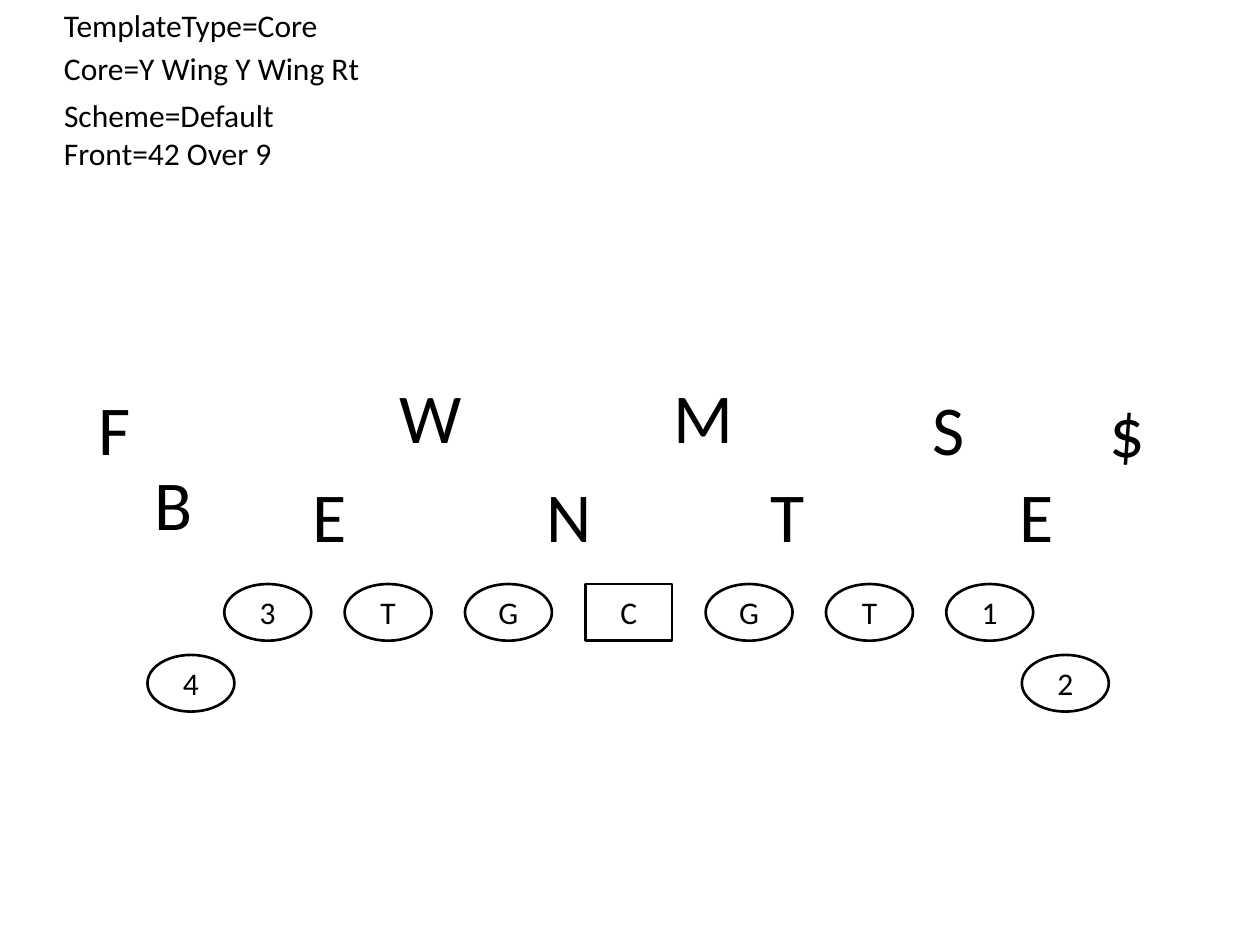
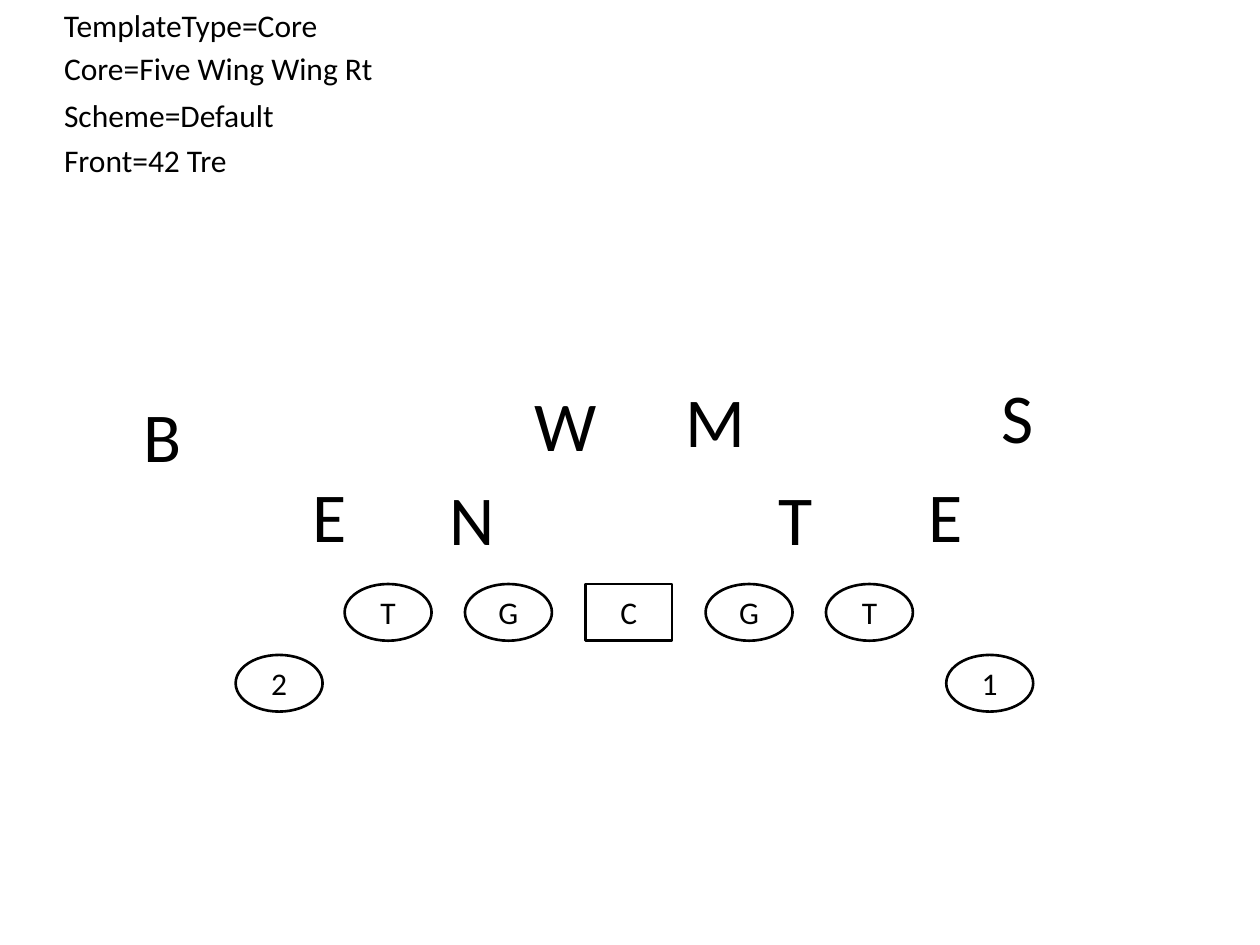
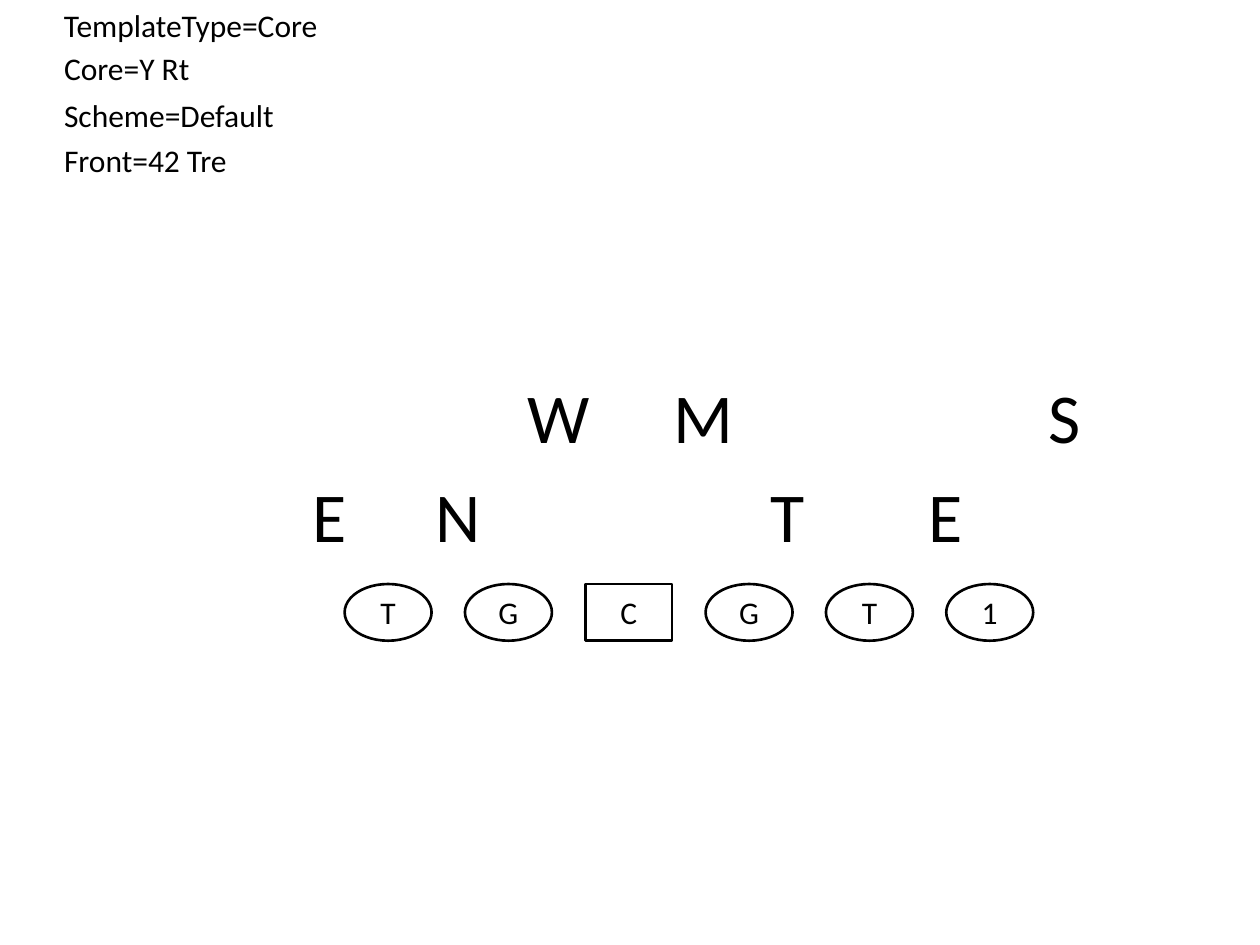
from collections import namedtuple
from pptx import Presentation
from pptx.dml.color import RGBColor
from pptx.enum.shapes import MSO_SHAPE as Preset
from pptx.enum.text import MSO_ANCHOR as Anchor, MSO_AUTO_SIZE as AutoSize, PP_ALIGN as Align
from pptx.util import Inches, Pt

SLIDE_WIDTH, SLIDE_HEIGHT = 10, 7.5
COLUMN, ROW = SLIDE_WIDTH / 100, SLIDE_HEIGHT / 100
INK, PAPER = "000000", "FFFFFF"
FONT = "Calibri"
LABEL_SIZE, LETTER_SIZE = 18, 40

Box = namedtuple("Box", "left top width height")
HEADER = Box(4.1, 0, 30, 20)
FIELD = Box(0, 38.9, 100, 37)

LABEL_HEIGHT, LETTER_HEIGHT = 5.3, 10.3
LETTER_WIDTHS = {"N": 5.6, "W": 7, "M": 7, "B": 5.1, "$": 3.9, "F": 3.5}
USUAL_LETTER_WIDTH = 4.8
WRAPPED_LETTERS = "F$"

PLAYER_WIDTH, PLAYER_HEIGHT = 6.9, 6
LINE_LEFT, LINE_SPAN = 17.8, 57.3
LINE_STEP = LINE_SPAN / 6
LINE_ROW, WING_ROW = 22.9, 30.4
LINEMEN = "TGCGT"

COMMON_LABELS = [("TemplateType=Core", 22.4, 0), ("Scheme=Default", 18.9, 9.5)]

FORMATIONS = [
    dict(
        labels=[("Core=Y Wing Y Wing Rt", 25.7, 4.5), ("Front=42 Over 9", 18.7, 13.5)],
        defenders=[("F", 6.8, 1.2), ("W", 30.7, 0), ("M", 52.5, 0), ("S", 73, 1.2),
                   ("$", 87.1, 1.5), ("B", 11.3, 9.2), ("E", 23.8, 10.4),
                   ("N", 42.4, 10.4), ("T", 60.2, 10.4), ("E", 79.9, 10.4)],
        ends={0: "3", 6: "1"},
        wings=[("4", 11.7), ("2", 81.1)],
    ),
    dict(
        labels=[("Core=Five Wing Wing Rt", 26.8, 4.5), ("Front=42 Tre", 15.1, 14.3)],
        defenders=[("B", 10.4, 2), ("W", 41.4, 0.8), ("M", 53.4, 0.4), ("S", 78.5, 0),
                   ("E", 23.8, 10.4), ("N", 34.7, 10.8), ("T", 60.8, 10.8),
                   ("E", 72.7, 10.4)],
        ends={},
        wings=[("2", 18.7), ("1", 75.1)],
    ),
    dict(
        labels=[("Core=Y Rt", 12.1, 4.5), ("Front=42 Tre", 15.1, 14.3)],
        defenders=[("W", 40.9, 0), ("M", 52.5, 0), ("S", 82.2, 0), ("E", 23.8, 10.4),
                   ("N", 33.6, 10.4), ("T", 60.2, 10.4), ("E", 72.7, 10.4)],
        ends={6: "1"},
        wings=[],
    ),
]


def color(hex_string):
    return RGBColor.from_string(hex_string)


def place(region, left, top, width, height):
    return (Inches((region.left + left) * COLUMN), Inches((region.top + top) * ROW),
            Inches(width * COLUMN), Inches(height * ROW))


def write(frame, text, size, align):
    para = frame.paragraphs[0]
    para.text = text
    para.alignment = align
    para.font.name = FONT
    para.font.size = Pt(size)
    para.font.color.rgb = color(INK)


def add_text(page, bounds, text, size, wrap=False):
    frame = page.shapes.add_textbox(*bounds).text_frame
    frame.word_wrap = wrap
    frame.auto_size = AutoSize.SHAPE_TO_FIT_TEXT
    write(frame, text, size, Align.LEFT)


def add_player(page, region, name, left, top):
    preset = Preset.RECTANGLE if name == "C" else Preset.OVAL
    player = page.shapes.add_shape(
        preset, *place(region, left, top, PLAYER_WIDTH, PLAYER_HEIGHT))
    player.shadow.inherit = False
    player.fill.solid()
    player.fill.fore_color.rgb = color(PAPER)
    player.line.color.rgb = color(INK)
    player.line.width = Pt(1.5)
    player.text_frame.vertical_anchor = Anchor.MIDDLE
    write(player.text_frame, name, LABEL_SIZE, Align.CENTER)


def add_header(page, region, labels):
    for text, width, top in COMMON_LABELS + labels:
        add_text(page, place(region, 0, top, width, LABEL_HEIGHT), text, LABEL_SIZE)


def add_offense(page, region, ends, wings):
    line = {**dict(enumerate(LINEMEN, start=1)), **ends}
    for slot, name in line.items():
        add_player(page, region, name, LINE_LEFT + slot * LINE_STEP, LINE_ROW)
    for name, left in wings:
        add_player(page, region, name, left, WING_ROW)


def add_defense(page, region, defenders):
    for letter, left, top in defenders:
        width = LETTER_WIDTHS.get(letter, USUAL_LETTER_WIDTH)
        add_text(page, place(region, left, top, width, LETTER_HEIGHT), letter,
                 LETTER_SIZE, wrap=letter in WRAPPED_LETTERS)


def add_formation(deck, formation):
    page = deck.slides.add_slide(deck.slide_layouts[6])
    add_header(page, HEADER, formation["labels"])
    add_offense(page, FIELD, formation["ends"], formation["wings"])
    add_defense(page, FIELD, formation["defenders"])


def main():
    deck = Presentation()
    deck.slide_width = Inches(SLIDE_WIDTH)
    deck.slide_height = Inches(SLIDE_HEIGHT)
    for formation in FORMATIONS:
        add_formation(deck, formation)
    deck.save("out.pptx")


if __name__ == "__main__":
    main()
